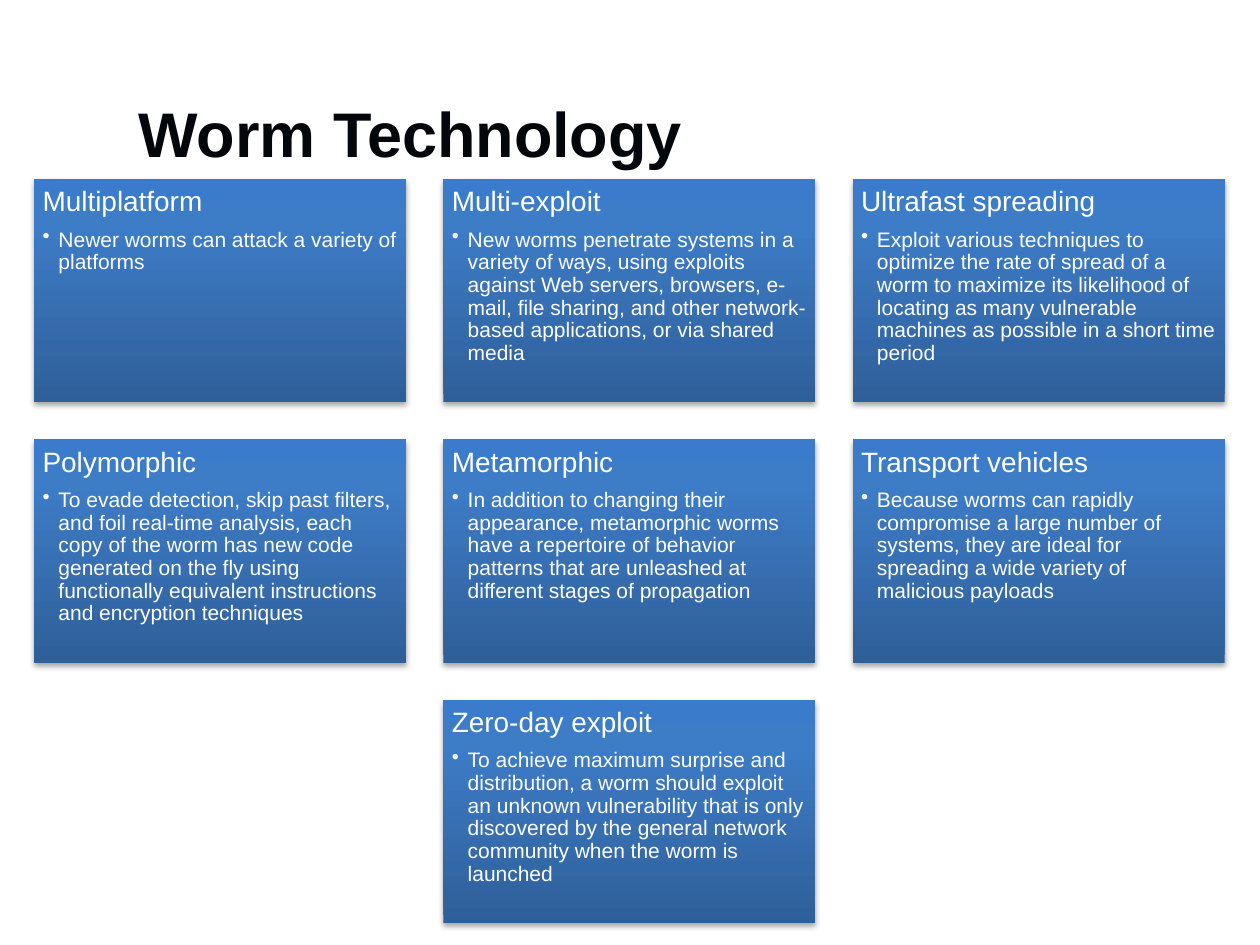
import pptx
import pptx.dml.color
import pptx.enum.shapes
import pptx.enum.text
import pptx.oxml
import pptx.oxml.ns
import pptx.util
from pptx.util import Cm

COLORS = {"title": "03070C", "text": "FFFFFF", "shadow": "000000",
          "dark": "2F5F99", "mid": "3D7CC7", "light": "3A7CCB"}
FONT = "Arial"
NS = pptx.oxml.ns.nsdecls("a")
COLUMNS = 3

CARDS = [
    ("Multiplatform", "Newer worms can attack a variety of platforms"),
    ("Multi-exploit",
     "New worms penetrate systems in a variety of ways, using exploits against Web servers, "
     "browsers, e-mail, file sharing, and other network-based applications, or via shared media"),
    ("Ultrafast spreading",
     "Exploit various techniques to optimize the rate of spread of a worm to maximize its "
     "likelihood of locating as many vulnerable machines as possible in a short time period"),
    ("Polymorphic",
     "To evade detection, skip past filters, and foil real-time analysis, each copy of the worm "
     "has new code generated on the fly using functionally equivalent instructions and "
     "encryption techniques"),
    ("Metamorphic",
     "In addition to changing their appearance, metamorphic worms have a repertoire of behavior "
     "patterns that are unleashed at different stages of propagation"),
    ("Transport vehicles",
     "Because worms can rapidly compromise a large number of systems, they are ideal for "
     "spreading a wide variety of malicious payloads"),
    ("Zero-day exploit",
     "To achieve maximum surprise and distribution, a worm should exploit an unknown "
     "vulnerability that is only discovered by the general network community when the worm "
     "is launched"),
]


def write(p, text, size, color="text", bold=False, spacing=None, after=None, bullet=False):
    """Fill paragraph p with one formatted, left-aligned run."""
    p.alignment = pptx.enum.text.PP_ALIGN.LEFT
    if spacing:
        p.line_spacing = spacing
    if after is not None:
        p.space_after = pptx.util.Pt(after)
    if bullet:
        p.level = 1
        pPr = p._p.get_or_add_pPr()
        pPr.set("marL", str(Cm(0.32)))
        pPr.set("indent", str(-Cm(0.32)))
        pPr.append(pptx.oxml.parse_xml(f'<a:buChar {NS} char="•"/>'))
    r = p.add_run()
    r.text = text
    r.font.name = FONT
    r.font.size = pptx.util.Pt(size)
    r.font.bold = bold
    r.font.color.rgb = pptx.dml.color.RGBColor.from_string(COLORS[color])


def shade(sp):
    """Give a shape the upward blue gradient and a soft shadow below."""
    sp.line.fill.background()
    sp.fill.gradient()
    sp.fill.gradient_angle = 90
    stops = "".join(f'<a:gs pos="{pos}"><a:srgbClr val="{COLORS[name]}"/></a:gs>'
                    for pos, name in ((0, "dark"), (80000, "mid"), (100000, "light")))
    spPr = sp._element.spPr
    old = spPr.find(".//" + pptx.oxml.ns.qn("a:gsLst"))
    old.getparent().replace(old, pptx.oxml.parse_xml(f"<a:gsLst {NS}>{stops}</a:gsLst>"))
    spPr.append(pptx.oxml.parse_xml(
        f'<a:effectLst {NS}><a:outerShdw blurRad="40000" dist="23000" dir="5400000" '
        f'rotWithShape="0"><a:srgbClr val="{COLORS["shadow"]}"><a:alpha val="35000"/>'
        '</a:srgbClr></a:outerShdw></a:effectLst>'))


def add_title(s, text, left, top, width, height):
    sp = s.shapes.title
    sp.left, sp.top, sp.width, sp.height = left, top, width, height
    tf = sp.text_frame
    tf.word_wrap = True
    tf.vertical_anchor = pptx.enum.text.MSO_ANCHOR.BOTTOM
    write(tf.paragraphs[0], text, 36, "title", bold=True)


def add_card(s, heading, body, left, top, width, height):
    sp = s.shapes.add_shape(pptx.enum.shapes.MSO_SHAPE.RECTANGLE, left, top, width, height)
    shade(sp)
    tf = sp.text_frame
    tf.word_wrap = True
    tf.vertical_anchor = pptx.enum.text.MSO_ANCHOR.TOP
    tf.margin_left = tf.margin_right = tf.margin_top = tf.margin_bottom = Cm(0.17)
    write(tf.paragraphs[0], heading, 16, spacing=0.9, after=6.4)
    write(tf.add_paragraph(), body, 12, spacing=0.9, after=2, bullet=True)


def add_card_grid(s, cards, left, top, width):
    """Lay cards out in rows, centring a row that is not full."""
    gap, height = Cm(0.75), Cm(4.5)
    card_width = (width - gap * (COLUMNS - 1)) // COLUMNS
    for i, (heading, body) in enumerate(cards):
        row, col = divmod(i, COLUMNS)
        missing = COLUMNS - min(COLUMNS, len(cards) - row * COLUMNS)
        x = left + int((col + missing / 2) * (card_width + gap))
        add_card(s, heading, body, x, top + row * (height + gap), card_width, height)


def main():
    prs = pptx.Presentation()
    prs.slide_width, prs.slide_height = Cm(25.4), Cm(19.05)
    s = prs.slides.add_slide(prs.slide_layouts[5])
    add_title(s, "Worm Technology", Cm(2.54), Cm(0), Cm(21.06), Cm(3.56))
    add_card_grid(s, CARDS, Cm(0.69), Cm(3.61), Cm(24))
    prs.save("out.pptx")


if __name__ == "__main__":
    main()
